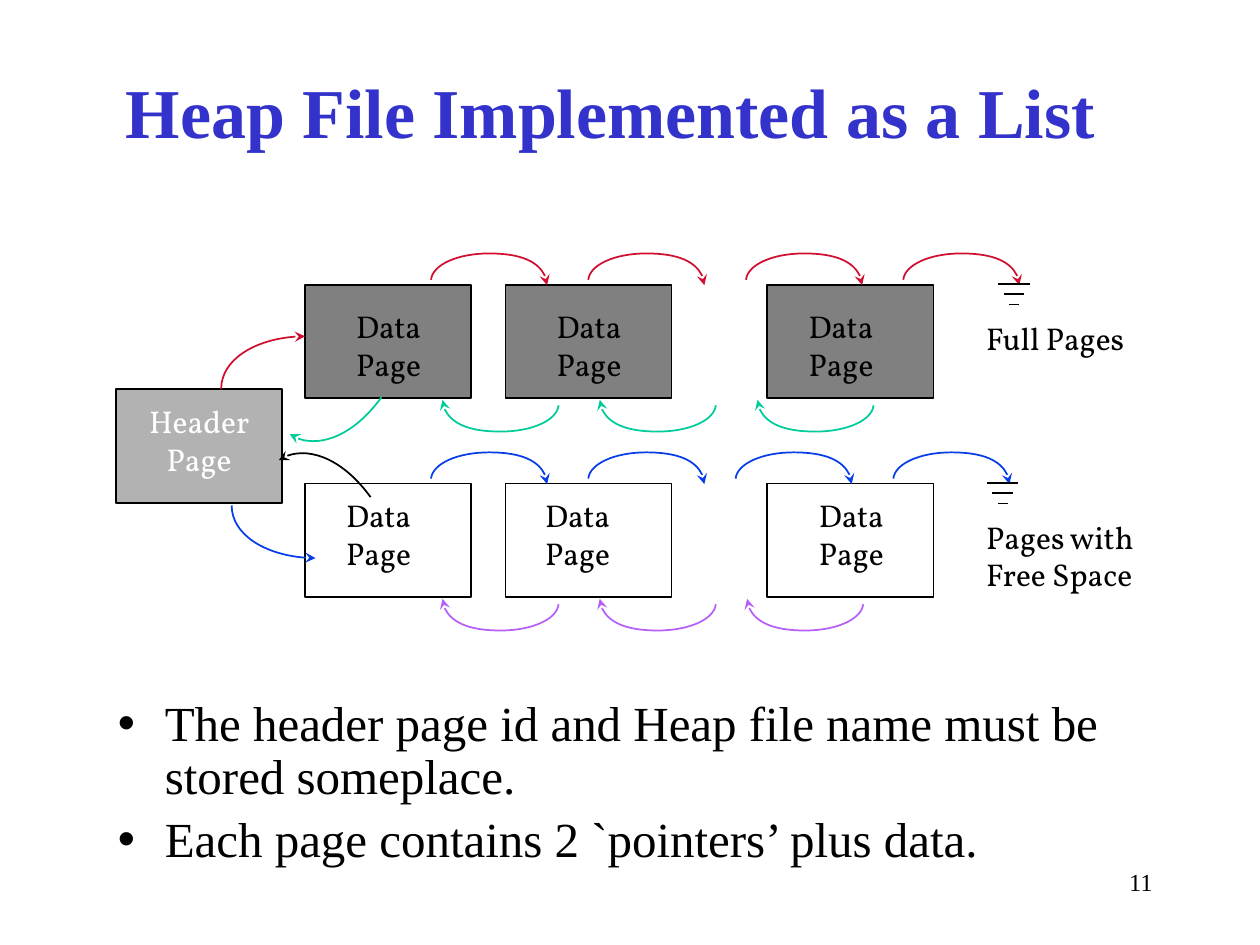
from lxml.etree import SubElement
from pptx import Presentation
from pptx.dml.color import RGBColor
from pptx.enum.shapes import MSO_CONNECTOR as Link, MSO_SHAPE as Preset
from pptx.enum.text import MSO_ANCHOR as Anchor, MSO_AUTO_SIZE as Fit, PP_ALIGN as Align
from pptx.oxml.ns import qn
from pptx.util import Cm, Pt

COLORS = {
    "title": "3333CC", "black": "000000", "white": "FFFFFF",
    "header": "B2B2B2", "full": "808080",
    "red": "CF0E30", "green": "00CC99", "blue": "063DE8", "violet": "B760F9",
}
SERIF, LABEL = "Times New Roman", "Vollkorn"

# Bezier outlines in cm: a start point, then two controls and an end per curve
HOP = [(0, 0.53), (0.03, 0.23), (0.53, 0), (1.17, 0),
       (1.83, 0), (2.34, 0.25), (2.34, 0.64)]
RISING = [(0, 1.06), (0, 0.48), (0.76, 0), (1.69, 0)]
FALLING = [(0, 0), (0.93, 0), (1.69, 0.48), (1.69, 1.06)]

BOX_WIDTH, BOX_HEIGHT = 3.35, 2.29
PAGE_LEFTS = (6.15, 10.19, 15.47)
BACK_SHIFT = 0.23


class Canvas:
    def __init__(self, page):
        self.page = page

    def color(self, name):
        return RGBColor.from_string(COLORS[name])

    def outline(self, shape, color):
        shape.line.color.rgb = self.color(color)
        shape.line.width = Pt(1)

    def fill_text(self, frame, lines, font, size, color, align=Align.LEFT, bold=False):
        frame.text = "\n".join(lines)
        for para in frame.paragraphs:
            para.alignment = align
            for span in para.runs:
                span.font.name, span.font.size = font, Pt(size)
                span.font.bold = bold
                span.font.color.rgb = self.color(color)

    def place(self, shape, left, top, width, height):
        shape.left, shape.top = Cm(left), Cm(top)
        shape.width, shape.height = Cm(width), Cm(height)

    def title(self, text, *area):
        shape = self.page.shapes.title
        self.place(shape, *area)
        frame = shape.text_frame
        frame.auto_size, frame.vertical_anchor = Fit.NONE, Anchor.MIDDLE
        self.fill_text(frame, [text], SERIF, 40, "title", Align.CENTER, bold=True)

    def bullets(self, lines, *area):
        shape = self.page.placeholders[1]
        self.place(shape, *area)
        frame = shape.text_frame
        frame.auto_size, frame.vertical_anchor = Fit.NONE, Anchor.TOP
        self.fill_text(frame, lines, SERIF, 28, "black")
        for index, para in enumerate(frame.paragraphs):
            para.line_spacing = 0.9
            para.space_before = Pt(5.6 if index else 0)
            props = para._p.get_or_add_pPr()
            props.set("marL", str(Cm(0.95)))
            props.set("indent", str(-Cm(0.95)))
            SubElement(props, qn("a:buChar"), char="•")

    def text(self, lines, left, top, width, height, font=LABEL, size=18,
             color="black", align=Align.LEFT, wrap=False):
        box = self.page.shapes.add_textbox(Cm(left), Cm(top), Cm(width), Cm(height))
        frame = box.text_frame
        frame.word_wrap = wrap
        frame.auto_size = Fit.NONE if wrap else Fit.SHAPE_TO_FIT_TEXT
        self.fill_text(frame, lines, font, size, color, align)

    def box(self, left, top, fill=None):
        shape = self.page.shapes.add_shape(
            Preset.RECTANGLE, Cm(left), Cm(top), Cm(BOX_WIDTH), Cm(BOX_HEIGHT))
        shape.shadow.inherit = False
        self.outline(shape, "black")
        if fill:
            shape.fill.solid()
            shape.fill.fore_color.rgb = self.color(fill)
        else:
            shape.fill.background()

    def curve(self, outline, left, top, color, rotation=0, arrow="tailEnd"):
        """Draw a Bezier outline with its arrowhead at the chosen end."""
        start, *rest = [(Cm(left + x), Cm(top + y)) for x, y in outline]
        builder = self.page.shapes.build_freeform(*start)
        builder.add_line_segments(rest, close=False)
        shape = builder.convert_to_shape()
        segments = list(shape._element.iter(qn("a:lnTo")))
        for first in range(0, len(segments), 3):
            bezier = SubElement(segments[first].getparent(), qn("a:cubicBezTo"))
            for segment in segments[first:first + 3]:
                bezier.append(segment[0])
                segment.getparent().remove(segment)
        shape.rotation = rotation
        shape.shadow.inherit = False
        shape.fill.background()
        self.outline(shape, color)
        SubElement(shape._element.spPr.find(qn("a:ln")), qn(f"a:{arrow}"), type="stealth")

    def ground(self, left, top):
        """Draw the end-of-list symbol: three shrinking bars."""
        group = self.page.shapes.add_group_shape()
        for index in range(3):
            inset, y = 0.11 * index, Cm(top + 0.21 * index)
            bar = group.shapes.add_connector(
                Link.STRAIGHT, Cm(left + inset), y, Cm(left + 0.64 - inset), y)
            self.outline(bar, "black")
            SubElement(bar._element.spPr, qn("a:effectLst"))

    def page_list(self, top, fill, label_lefts, label_top, hop_lefts, forward, back):
        """Draw one row of data pages with its forward and back pointers."""
        for left in PAGE_LEFTS:
            self.box(left, top, fill)
        for left in label_lefts:
            self.text(["Data", "Page"], left, label_top, 1.85, 1.78)
        for left in hop_lefts:
            self.curve(HOP, left, top - 0.63, forward)
        for left in hop_lefts[:-1]:
            self.curve(HOP, left + BACK_SHIFT, top + 2.32, back, rotation=180)


def main():
    deck = Presentation()
    deck.slide_width, deck.slide_height = Cm(25.4), Cm(19.05)
    canvas = Canvas(deck.slides.add_slide(deck.slide_layouts[1]))

    canvas.title("Heap File Implemented as a List ", 1.69, 0.64, 21.59, 3.18)
    canvas.bullets(
        ["The header page id and Heap file name must be stored someplace.",
         "Each page contains 2 `pointers’ plus data."],
        2.12, 13.97, 21.38, 3.18)
    canvas.text(["11"], 18.21, 17.35, 5.28, 1.27, SERIF, 14, align=Align.RIGHT, wrap=True)

    canvas.page_list(5.74, "full", (6.93, 10.97, 16.05), 6.07,
                     (8.69, 11.86, 15.04, 18.21), "red", "green")
    canvas.page_list(9.75, None, (6.73, 10.74, 16.26), 9.88,
                     (8.69, 11.86, 14.83, 18.01), "blue", "violet")

    canvas.box(2.34, 7.85, "header")
    canvas.text(["Header", "Page"], 2.72, 7.98, 2.59, 1.78,
                color="white", align=Align.CENTER)
    canvas.curve(RISING, 4.46, 6.78, "red")
    canvas.curve(FALLING, 5.92, 7.85, "green", rotation=126)
    canvas.curve(RISING, 5.7, 9.12, "black", rotation=54, arrow="headEnd")
    canvas.curve(FALLING, 4.67, 10.19, "blue", rotation=180, arrow="headEnd")

    canvas.text(["Full Pages"], 19.63, 6.3, 3.4, 1.02)
    canvas.text(["Pages with", "Free Space"], 19.63, 10.31, 3.58, 1.78)
    canvas.ground(20.12, 5.72)
    canvas.ground(19.89, 9.73)

    deck.save("out.pptx")


if __name__ == "__main__":
    main()
